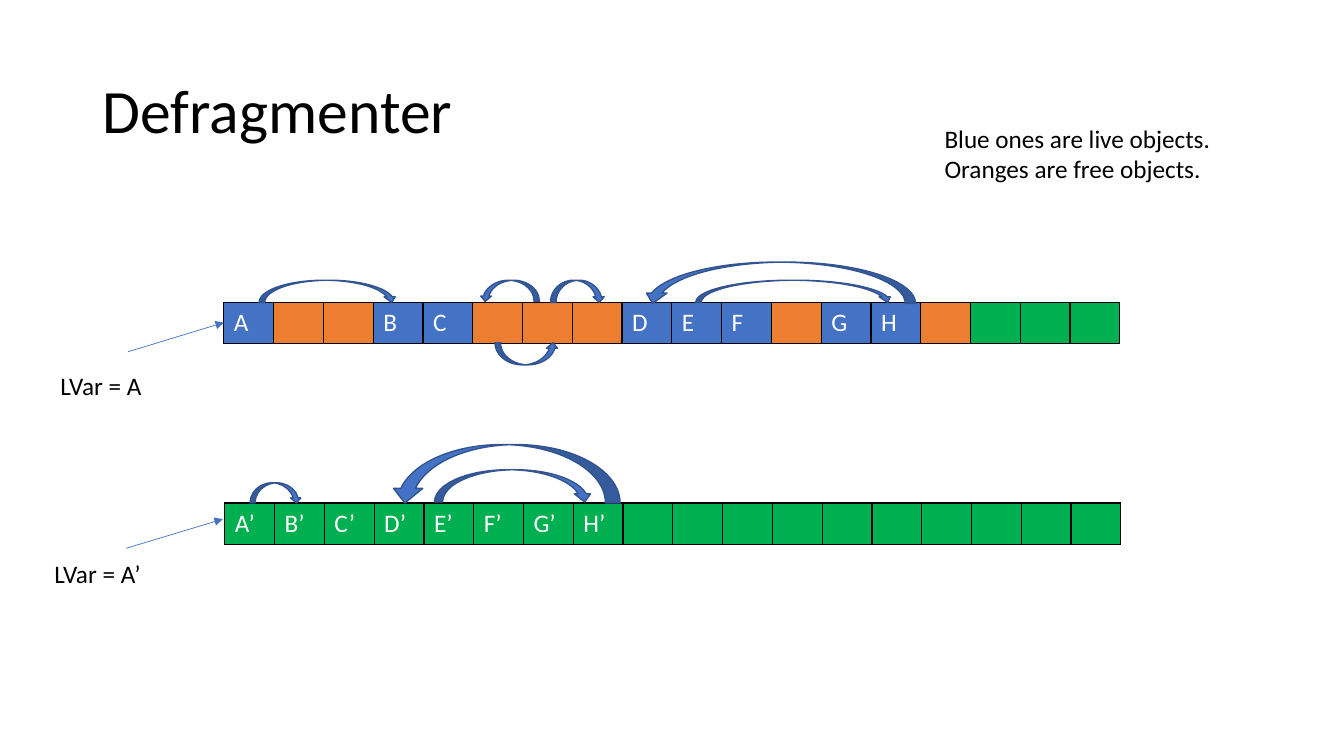
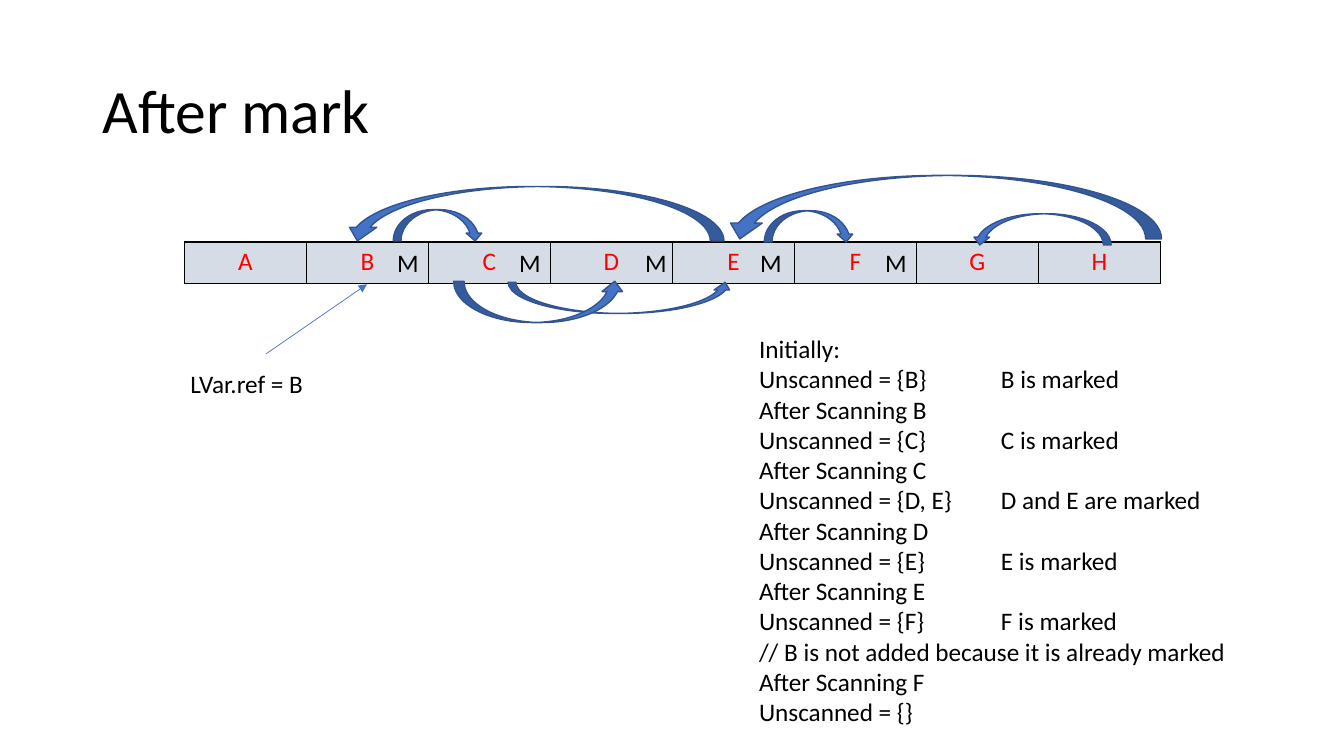
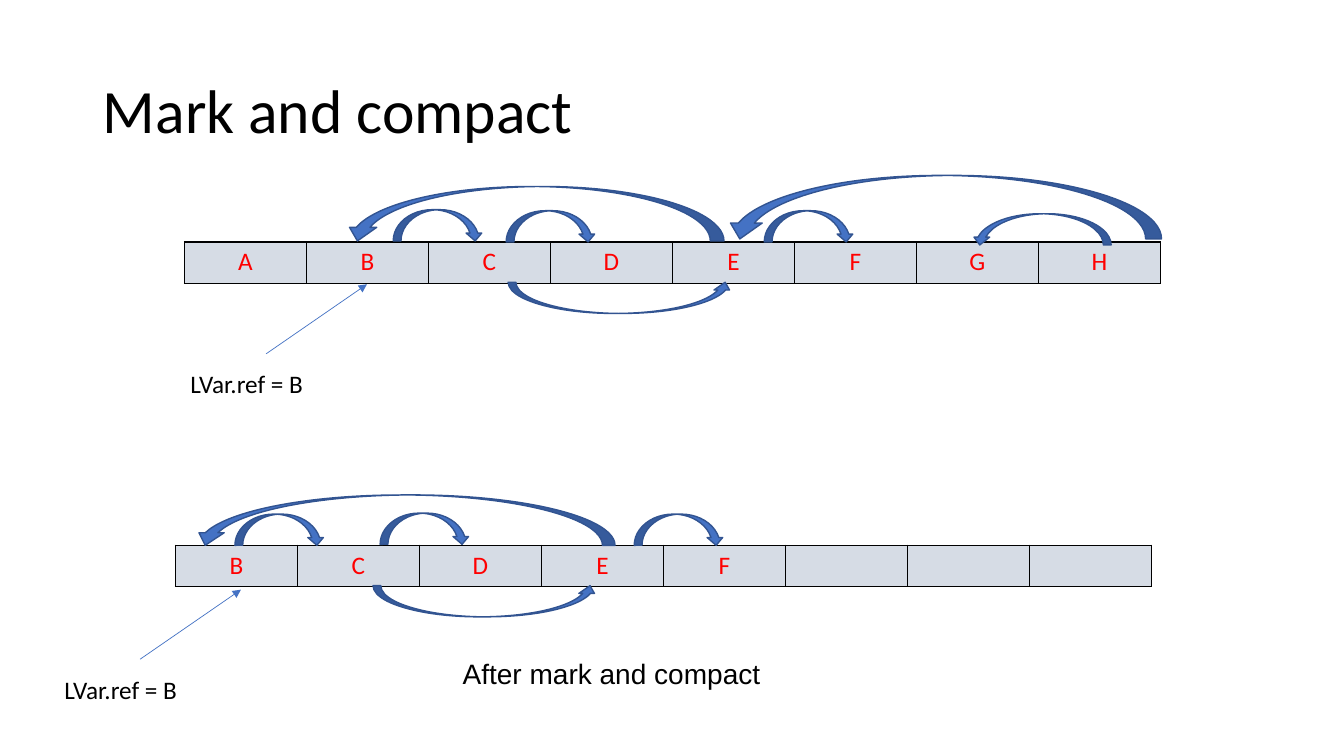
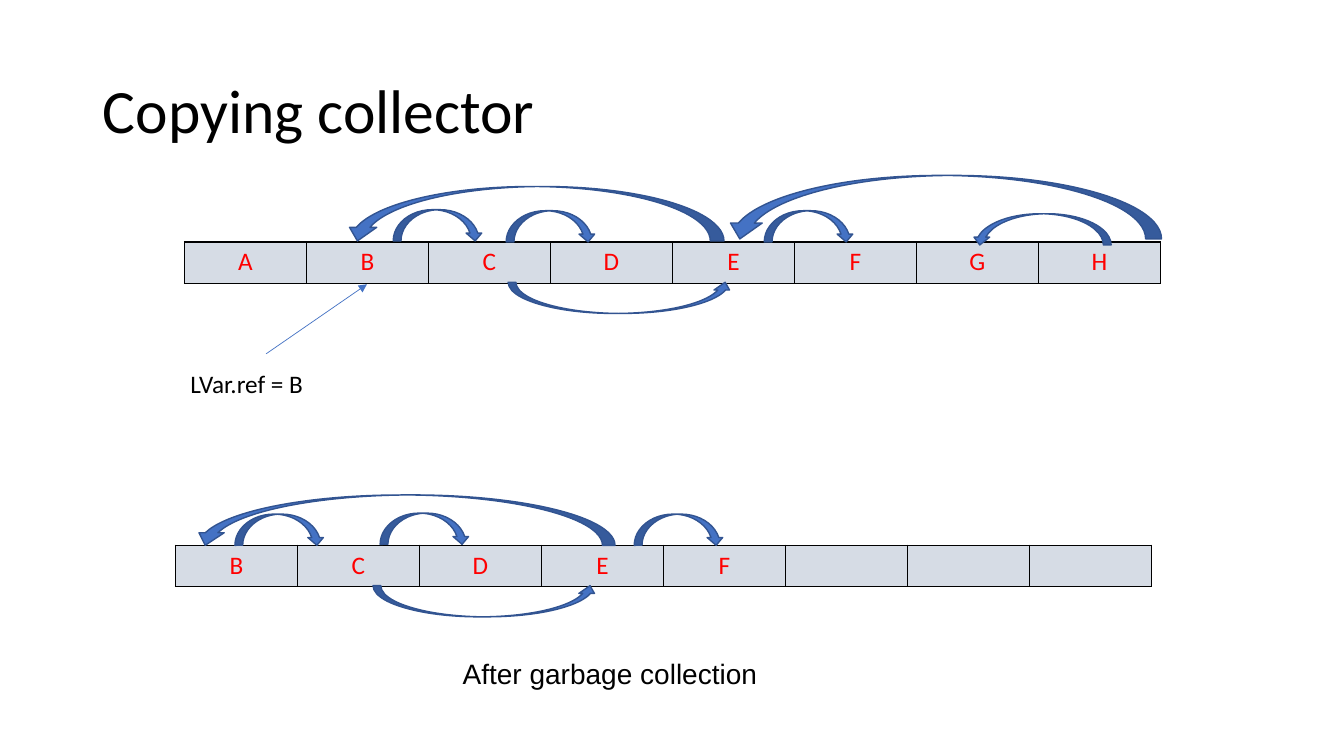
from dataclasses import dataclass

from lxml.etree import SubElement
from pptx import Presentation
from pptx.dml.color import RGBColor
from pptx.enum.shapes import MSO_CONNECTOR, MSO_SHAPE
from pptx.enum.text import MSO_ANCHOR, MSO_AUTO_SIZE, PP_ALIGN
from pptx.oxml.ns import qn
from pptx.util import Emu, Pt

EMU_PER_PX = 9144
TITLE_ONLY = 5


@dataclass(frozen=True)
class Theme:
    ink: str = "000000"
    white: str = "FFFFFF"
    blue: str = "4472C4"
    arc_edge: str = "325491"
    orange: str = "ED7D31"
    green: str = "00B050"
    cell: str = "D6DCE5"
    letter: str = "FF0000"
    font: str = "Calibri"
    caption_font: str = "Arial"
    title_size: int = 44
    caption_size: int = 20
    text_size: int = 18
    border: float = 1
    pointer: float = 0.5


THEME = Theme()

# Each direction of an arc: preset shape and rotation
OVER_RIGHT = (MSO_SHAPE.CURVED_DOWN_ARROW, 0)
OVER_LEFT = (MSO_SHAPE.CURVED_UP_ARROW, 180)
UNDER_RIGHT = (MSO_SHAPE.CURVED_UP_ARROW, 0)


def px(length):
    return Emu(length * EMU_PER_PX)


def rgb(color):
    return RGBColor.from_string(color)


def write(frame, text, *, size=THEME.text_size, color=THEME.ink, font=THEME.font,
          align=PP_ALIGN.LEFT, spacing=None, tab=None):
    """Fill a text frame, one paragraph for each line of text."""
    for index, line in enumerate(text.split("\n")):
        paragraph = frame.add_paragraph() if index else frame.paragraphs[0]
        if tab:
            tabs = SubElement(paragraph._p.get_or_add_pPr(), qn("a:tabLst"))
            SubElement(tabs, qn("a:tab"), pos=str(px(tab)), algn="l")
        paragraph.alignment = align
        paragraph.line_spacing = spacing
        run = paragraph.add_run()
        run.text = line
        run.font.size = Pt(size)
        run.font.name = font
        run.font.color.rgb = rgb(color)


def add_borders(cell, color, width):
    properties = cell._tc.get_or_add_tcPr()
    for side in ("lnL", "lnR", "lnT", "lnB"):
        border = SubElement(properties, qn(f"a:{side}"), w=str(Pt(width)))
        fill = SubElement(border, qn("a:solidFill"))
        SubElement(fill, qn("a:srgbClr"), val=color)


class Deck:
    """Holds the theme, the presentation and the slide being drawn."""

    def __init__(self, theme):
        self.theme = theme
        self.deck = Presentation()
        self.deck.slide_width, self.deck.slide_height = px(1333), px(750)
        self.slide = None

    def new_slide(self, heading):
        self.slide = self.deck.slides.add_slide(self.deck.slide_layouts[TITLE_ONLY])
        title = self.slide.shapes.title
        title.left, title.top, title.width, title.height = map(px, (92, 40, 1150, 145))
        frame = title.text_frame
        frame.vertical_anchor = MSO_ANCHOR.MIDDLE
        frame.auto_size = MSO_AUTO_SIZE.NONE
        write(frame, heading, size=self.theme.title_size, spacing=0.9)

    def label(self, text, x, y, width, height=40, **style):
        box = self.slide.shapes.add_textbox(*map(px, (x, y, width, height)))
        frame = box.text_frame
        frame.word_wrap = True
        frame.auto_size = MSO_AUTO_SIZE.SHAPE_TO_FIT_TEXT
        write(frame, text, **style)

    def heap(self, x, y, width, letters, fills, **style):
        """Draw memory as a one-row table with a letter and a fill per cell."""
        count = len(letters)
        table = self.slide.shapes.add_table(
            1, count, *map(px, (x, y, width, 41))).table
        table.first_row = table.horz_banding = False
        for index, (letter, fill) in enumerate(zip(letters, fills)):
            table.columns[index].width = Emu(px(width) // count)
            cell = table.cell(0, index)
            add_borders(cell, self.theme.ink, self.theme.border)
            cell.fill.solid()
            cell.fill.fore_color.rgb = rgb(fill)
            write(cell.text_frame, letter, **style)

    def arcs(self, *references):
        for (preset, rotation), *bounds in references:
            arc = self.slide.shapes.add_shape(preset, *map(px, bounds))
            arc.rotation = rotation
            arc.shadow.inherit = False
            arc.fill.solid()
            arc.fill.fore_color.rgb = rgb(self.theme.blue)
            arc.line.color.rgb = rgb(self.theme.arc_edge)
            arc.line.width = Pt(self.theme.border)

    def pointer(self, x, y, to_x, to_y):
        arrow = self.slide.shapes.add_connector(
            MSO_CONNECTOR.STRAIGHT, *map(px, (x, y, to_x, to_y)))
        arrow.line.color.rgb = rgb(self.theme.blue)
        arrow.line.width = Pt(self.theme.pointer)
        properties = arrow.element.spPr
        SubElement(properties.find(qn("a:ln")), qn("a:tailEnd"), type="triangle")
        SubElement(properties, qn("a:effectLst"))

    def letter_heap(self, x, y, letters):
        self.heap(x, y, 968, letters, [self.theme.cell] * len(letters),
                  color=self.theme.letter, align=PP_ALIGN.CENTER)

    def root_reference(self, x, y):
        self.label("LVar.ref = B", x, y, 189)
        self.pointer(x + 85, y - 10, x + 185, y - 79)

    def full_heap(self):
        """Draw the heap before collection, with the references all slides share."""
        self.letter_heap(183, 240, "ABCDEFGH")
        self.root_reference(179, 361)
        self.arcs((OVER_RIGHT, 390, 208, 89, 31),
                  (OVER_RIGHT, 758, 209, 89, 31),
                  (OVER_LEFT, 341, 185, 377, 54),
                  (UNDER_RIGHT, 504, 280, 223, 31),
                  (OVER_LEFT, 964, 212, 138, 31),
                  (OVER_LEFT, 718, 174, 434, 63))

    def before_and_after(self, heading, caption):
        self.new_slide(heading)
        self.full_heap()
        self.letter_heap(174, 541, [*"BCDEF", "", "", ""])
        self.arcs((OVER_RIGHT, 502, 209, 89, 31),
                  (OVER_RIGHT, 233, 510, 89, 31),
                  (OVER_RIGHT, 377, 509, 89, 31),
                  (OVER_RIGHT, 629, 510, 89, 31),
                  (OVER_LEFT, 191, 491, 419, 50),
                  (UNDER_RIGHT, 370, 581, 223, 31))
        self.label(caption, 449, 646, 454, 44, size=self.theme.caption_size,
                   font=self.theme.caption_font)


def draw_defragmenter(deck):
    theme = deck.theme
    deck.new_slide("Defragmenter")
    deck.label("Blue ones are live objects.\nOranges are free objects.",
               927, 117, 340, 71)

    layout = "A--BC---DEF-GH-..."  # "-" is a free object, "." is unused space
    special = {"-": theme.orange, ".": theme.green}
    deck.heap(222, 300, 889,
              ["" if mark in special else mark for mark in layout],
              [special.get(mark, theme.blue) for mark in layout],
              color=theme.white)
    deck.arcs((OVER_RIGHT, 257, 278, 137, 22),
              (OVER_RIGHT, 690, 278, 196, 22),
              (OVER_LEFT, 637, 260, 271, 41),
              (UNDER_RIGHT, 491, 340, 63, 22),
              (OVER_RIGHT, 546, 278, 54, 22),
              (OVER_LEFT, 476, 278, 59, 21))
    deck.pointer(127, 349, 222, 320)
    deck.label("LVar = A", 50, 362, 172)

    moved = [f"{letter}’" for letter in "ABCDEFGH"]
    size = len(layout)
    deck.heap(223, 499, 889, moved + [""] * (size - len(moved)),
              [theme.green] * size, color=theme.white)
    deck.arcs((OVER_RIGHT, 248, 479, 51, 20),
              (OVER_RIGHT, 431, 466, 157, 32),
              (OVER_LEFT, 387, 441, 228, 58))
    deck.pointer(125, 544, 221, 515)
    deck.label("LVar = A’", 44, 549, 172)


def draw_after_mark(deck):
    deck.new_slide("After mark")
    deck.full_heap()
    deck.arcs((UNDER_RIGHT, 450, 279, 170, 41))
    deck.label("""Initially:
Unscanned = {B}\tB is marked
After Scanning B
Unscanned = {C}\tC is marked
After Scanning C
Unscanned = {D, E}\tD and E are marked
After Scanning D
Unscanned = {E}\tE is marked
After Scanning E
Unscanned = {F}\tF is marked
// B is not added because it is already marked
After Scanning F
Unscanned = {}""", 743, 326, 534, 404, tab=240)
    for x in (384, 505, 630, 744, 868):
        deck.label("M", x, 240, 54)


def main():
    deck = Deck(THEME)
    draw_defragmenter(deck)
    draw_after_mark(deck)
    deck.before_and_after("Mark and compact", "After mark and compact")
    deck.root_reference(54, 664)
    deck.before_and_after("Copying collector", "After garbage collection")
    deck.deck.save("out.pptx")


if __name__ == "__main__":
    main()
